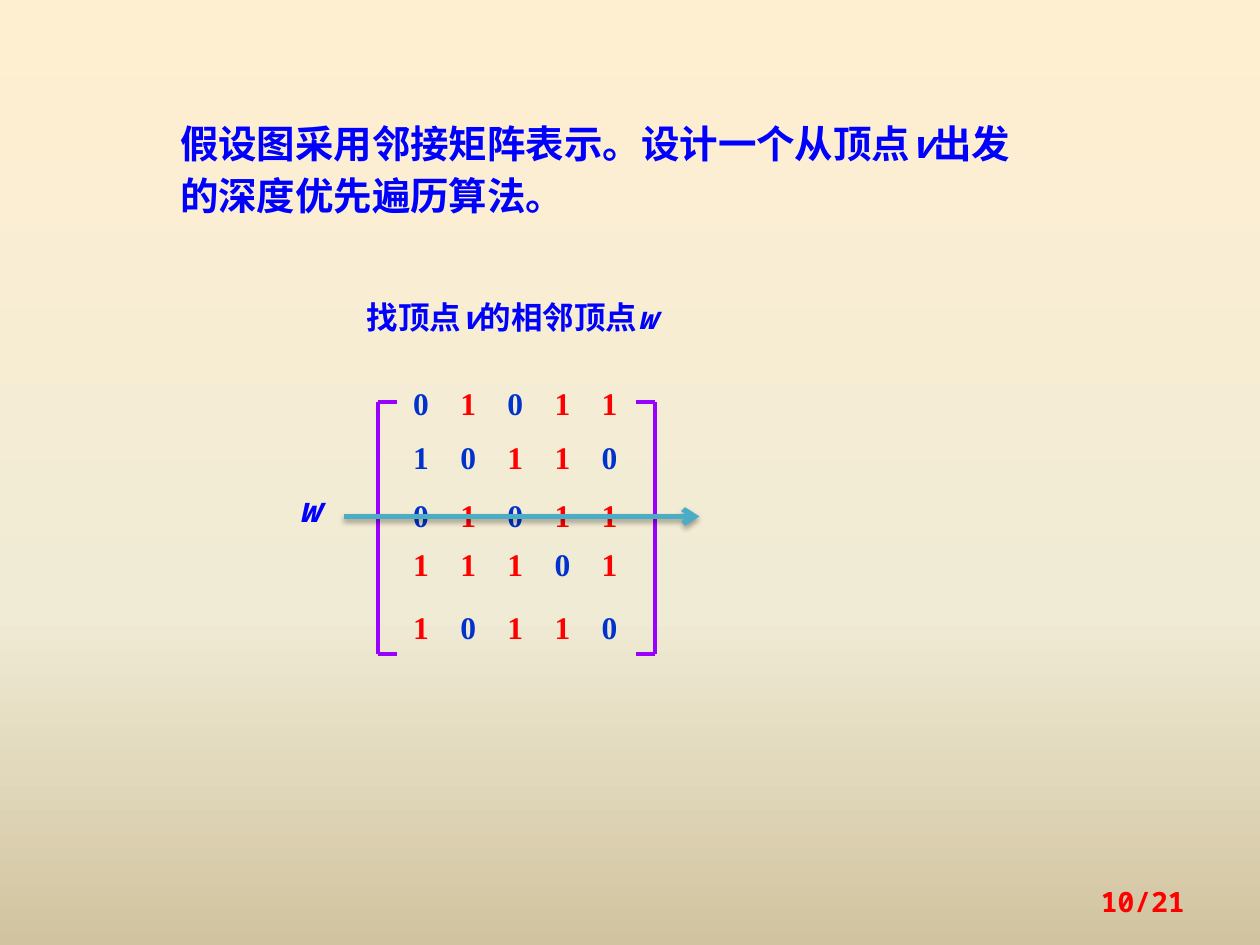
from copy import deepcopy
from dataclasses import dataclass

from lxml.etree import SubElement
from pptx import Presentation
from pptx.dml.color import RGBColor
from pptx.enum.shapes import MSO_CONNECTOR
from pptx.enum.text import MSO_ANCHOR, MSO_AUTO_SIZE, PP_ALIGN
from pptx.oxml.ns import qn
from pptx.util import Cm, Pt

MONO, SERIF = "Noto Sans Mono", "Times New Roman"
BLUE, RED, DIGIT_BLUE = "0000FF", "FF0000", "0033CC"
PURPLE, TEAL = "9900FF", "4BACC6"
BACKGROUND = ((0, "FFEFD1"), (0.65, "F0EBD5"), (1, "D1C39F"))
DIGIT_PITCH = 0.95


@dataclass
class Run:
    text: str
    color: str = BLUE
    italic: bool = False


@dataclass
class Label:
    box: tuple[float, float, float, float]
    runs: list[Run]
    size: int
    spacing: object = None
    font: str = MONO
    align: object = PP_ALIGN.LEFT
    anchor: object = MSO_ANCHOR.TOP
    inset: bool = True
    tabs: int = 0


@dataclass
class MatrixRow:
    top: float
    digits: str
    blue: tuple[int, ...]


LABELS = [
    Label((3.38, 2.16, 17.27, 2.31),
          [Run("假设图采用邻接矩阵表示。设计一个从顶点"), Run("v", italic=True),
           Run("出发的深度优先遍历算法。")], 22, Pt(30)),
    Label((5.77, 9.78, 1.19, 1.04), [Run("w", italic=True)], 20, Pt(22)),
    Label((7.14, 5.59, 7.75, 1.24),
          [Run("找顶点"), Run("v", italic=True), Run("的相邻顶点"),
           Run("w", italic=True)], 18, Pt(30)),
    Label((18.21, 17.65, 5.92, 1.02), [Run("10/21", RED)], 16,
          align=PP_ALIGN.RIGHT, anchor=MSO_ANCHOR.MIDDLE),
]
MATRIX = [
    MatrixRow(7.67, "01011", (0, 2)),
    MatrixRow(8.76, "10110", (0, 1, 4)),
    MatrixRow(9.93, "01011", (0, 2)),
    MatrixRow(10.92, "11101", (3,)),
    MatrixRow(12.19, "10110", (1, 4)),
]


def rgb(color: str) -> RGBColor:
    return RGBColor.from_string(color)


def set_background(s) -> None:
    fill = s.background.fill
    fill.gradient()
    gs_list = s.element.find(".//" + qn("a:gsLst"))
    gs_list.append(deepcopy(gs_list[-1]))
    for stop, (position, color) in zip(fill.gradient_stops, BACKGROUND):
        stop.position = position
        stop.color.rgb = rgb(color)
    fill.gradient_angle = 270


def add_label(s, label: Label) -> None:
    tf = s.shapes.add_textbox(*map(Cm, label.box)).text_frame
    frame = dict(word_wrap=True, auto_size=MSO_AUTO_SIZE.SHAPE_TO_FIT_TEXT,
                 vertical_anchor=label.anchor)
    if not label.inset:
        frame |= dict.fromkeys(
            ("margin_left", "margin_top", "margin_right", "margin_bottom"), 0)
    for name, value in frame.items():
        setattr(tf, name, value)
    p = tf.paragraphs[0]
    p.alignment = label.align
    p.line_spacing = label.spacing
    if label.tabs:
        tab_list = SubElement(p._p.get_or_add_pPr(), qn("a:tabLst"))
        for i in range(1, label.tabs + 1):
            SubElement(tab_list, qn("a:tab"), pos=str(Cm(i * DIGIT_PITCH)), algn="l")
    for run in label.runs:
        r = p.add_run()
        r.text = run.text
        style = dict(name=label.font, size=Pt(label.size), bold=True, italic=run.italic)
        for name, value in style.items():
            setattr(r.font, name, value)
        r.font.color.rgb = rgb(run.color)
        SubElement(r.font._element, qn("a:ea"), typeface=label.font)


def add_matrix_row(s, row: MatrixRow) -> None:
    runs = [Run(("\t" if i else "") + digit, DIGIT_BLUE if i in row.blue else RED)
            for i, digit in enumerate(row.digits)]
    add_label(s, Label((8.33, row.top, 5, 0.84), runs, 18, 1.1, SERIF,
                       inset=False, tabs=len(runs) - 1))


def add_line(s, x1: float, y1: float, x2: float, y2: float, color: str, width: float):
    """Draw a straight line and return it with its empty effect list."""
    line = s.shapes.add_connector(MSO_CONNECTOR.STRAIGHT, *map(Cm, (x1, y1, x2, y2)))
    line.line.color.rgb = rgb(color)
    line.line.width = Pt(width)
    return line, SubElement(line._element.spPr, qn("a:effectLst"))


def add_bracket(s, x: float, tick: float) -> None:
    top, bottom = 8.1, 13.18
    add_line(s, x, top, x, bottom, PURPLE, 2.25)
    for y in (top, bottom):
        add_line(s, x, y, x + tick, y, PURPLE, 2.25)


def add_row_arrow(s) -> None:
    arrow, effects = add_line(s, 6.93, 10.41, 14.1, 10.41, TEAL, 3)
    SubElement(arrow.line._get_or_add_ln(), qn("a:tailEnd"), type="arrow")
    shadow = SubElement(effects, qn("a:outerShdw"), blurRad=str(Pt(3.1)),
                        dist=str(Pt(1.8)), dir="5400000", rotWithShape="0")
    color = SubElement(shadow, qn("a:srgbClr"), val="000000")
    SubElement(color, qn("a:alpha"), val="35000")


def main() -> None:
    prs = Presentation()
    prs.slide_width, prs.slide_height = Cm(25.4), Cm(19.05)
    s = prs.slides.add_slide(prs.slide_layouts[6])
    set_background(s)
    for row in MATRIX:
        add_matrix_row(s, row)
    add_bracket(s, 7.62, 0.38)
    add_bracket(s, 13.2, -0.38)
    add_row_arrow(s)
    for label in LABELS:
        add_label(s, label)
    prs.save("out.pptx")


if __name__ == "__main__":
    main()
